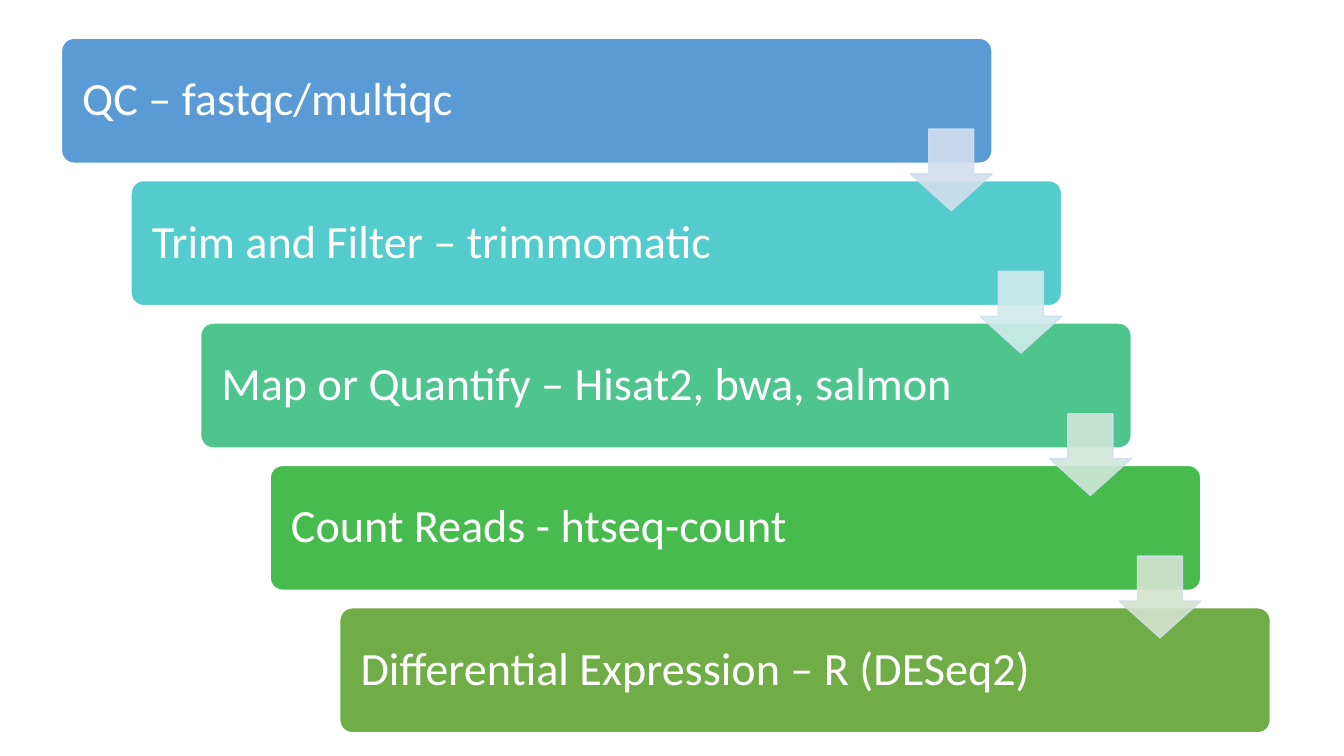
import dataclasses

import lxml.etree
import pptx
import pptx.dml.color
import pptx.dml.fill
import pptx.enum.shapes
import pptx.enum.text
import pptx.oxml.ns
import pptx.shapes.autoshape
import pptx.slide
import pptx.util

Inches = pptx.util.Inches
Pt = pptx.util.Pt
ShapeType = pptx.enum.shapes.MSO_SHAPE

BOX_LEFT, BOX_TOP = 0.61, 0.38
BOX_WIDTH, BOX_HEIGHT = 9.23, 1.24
STEP_RIGHT = 0.69
STEP_DOWN = (6.03 - BOX_TOP) / 4
ARROW_SIZE = 0.81
ARROW_DROP = 0.9
ARROW_OPACITY = 90
ARROW_LINE = "D2DEEF"


@dataclasses.dataclass(frozen=True)
class Step:
    text: str
    color: str
    arrow_color: str | None = None


STEPS = [
    Step("QC – fastqc/multiqc", "5B9BD5", "D2DEEF"),
    Step("Trim and Filter – trimmomatic", "54CCCD", "D0ECEA"),
    Step("Map or Quantify – Hisat2, bwa, salmon", "4DC58D", "D0E7D8"),
    Step("Count Reads - htseq-count", "48BB4F", "D5E3CF"),
    Step("Differential Expression – R (DESeq2)", "70AD47"),
]


def set_fill(fill: pptx.dml.fill.FillFormat, color: str) -> None:
    fill.solid()
    fill.fore_color.rgb = pptx.dml.color.RGBColor.from_string(color)


def set_opacity(shape: pptx.shapes.autoshape.Shape, percent: int) -> None:
    """Apply the opacity to both the fill and the outline."""
    for color in shape.element.spPr.iter(pptx.oxml.ns.qn("a:srgbClr")):
        alpha = lxml.etree.SubElement(color, pptx.oxml.ns.qn("a:alpha"))
        alpha.set("val", str(percent * 1000))


def add_shape(
    slide: pptx.slide.Slide,
    kind: pptx.enum.shapes.MSO_SHAPE,
    bounds: tuple[float, float, float, float],
    adjustments: list[float],
    fill_color: str,
    line_color: str,
) -> pptx.shapes.autoshape.Shape:
    shape = slide.shapes.add_shape(kind, *(Inches(length) for length in bounds))
    for index, value in enumerate(adjustments):
        shape.adjustments[index] = value
    shape.shadow.inherit = False
    set_fill(shape.fill, fill_color)
    set_fill(shape.line.fill, line_color)
    shape.line.width = Pt(1)
    return shape


def add_step_box(slide: pptx.slide.Slide, step: Step, index: int) -> None:
    bounds = (BOX_LEFT + index * STEP_RIGHT, BOX_TOP + index * STEP_DOWN, BOX_WIDTH, BOX_HEIGHT)
    box = add_shape(slide, ShapeType.ROUNDED_RECTANGLE, bounds, [0.1], step.color, "FFFFFF")
    text_frame = box.text_frame
    text_frame.text = step.text
    text_frame.word_wrap = True
    text_frame.vertical_anchor = pptx.enum.text.MSO_ANCHOR.MIDDLE
    text_frame.margin_left = text_frame.margin_top = text_frame.margin_bottom = Inches(0.17)
    text_frame.margin_right = Inches(1.6)
    paragraph = text_frame.paragraphs[0]
    paragraph.alignment = pptx.enum.text.PP_ALIGN.LEFT
    paragraph.line_spacing = 0.9
    font = paragraph.runs[0].font
    font.name = "Calibri"
    font.size = Pt(33)
    set_fill(font.fill, "FFFFFF")


def add_step_arrow(slide: pptx.slide.Slide, color: str, index: int) -> None:
    """Add the arrow to the next step, flush with the right edge of its box."""
    left = BOX_LEFT + index * STEP_RIGHT + BOX_WIDTH - ARROW_SIZE
    top = BOX_TOP + index * STEP_DOWN + ARROW_DROP
    bounds = (left, top, ARROW_SIZE, ARROW_SIZE)
    # Adjustments: head length, then shaft width.
    arrow = add_shape(slide, ShapeType.DOWN_ARROW, bounds, [0.55, 0.45], color, ARROW_LINE)
    set_opacity(arrow, ARROW_OPACITY)


def main() -> None:
    presentation = pptx.Presentation()
    presentation.slide_width = Inches(13.33)
    presentation.slide_height = Inches(7.5)
    slide = presentation.slides.add_slide(presentation.slide_layouts[6])
    for index, step in enumerate(STEPS):
        add_step_box(slide, step, index)
    for index, step in enumerate(STEPS):
        if step.arrow_color:
            add_step_arrow(slide, step.arrow_color, index)
    presentation.save("out.pptx")


if __name__ == "__main__":
    main()
